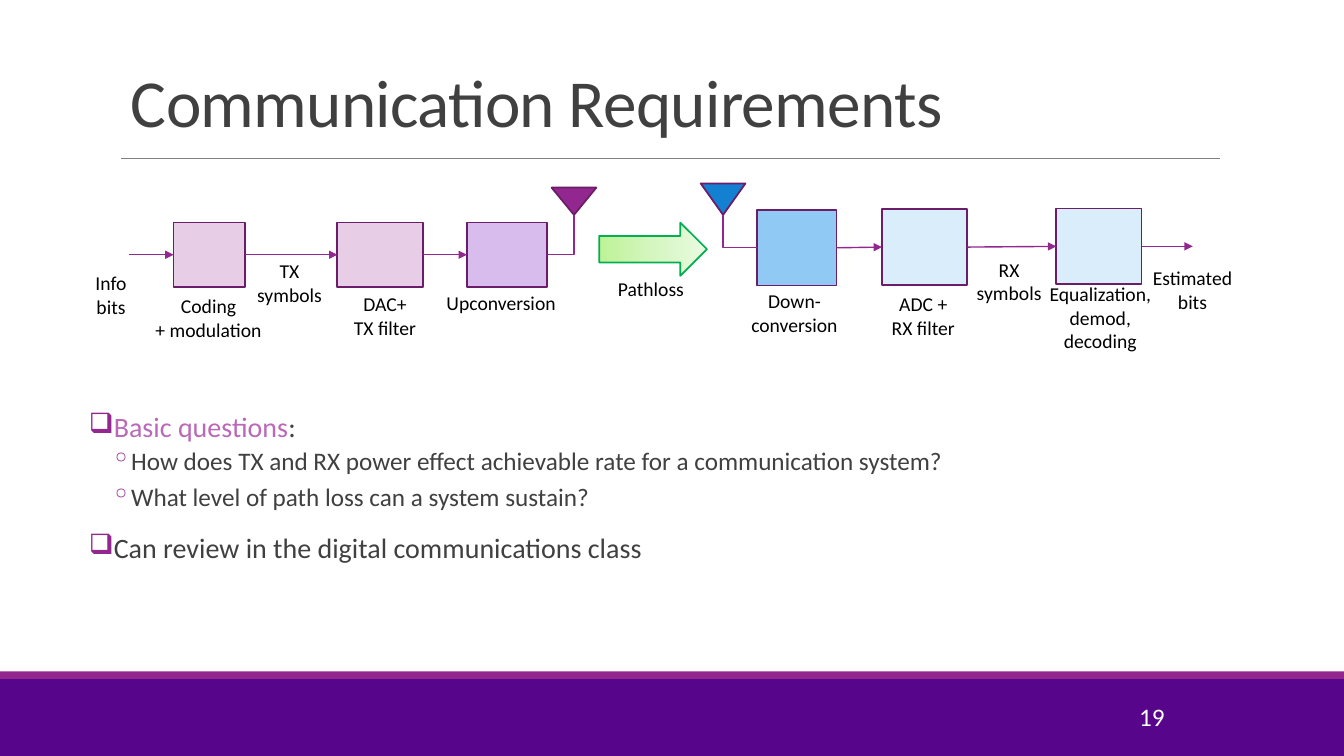
import copy
from dataclasses import dataclass

import pptx
import pptx.dml.color
import pptx.enum.shapes
import pptx.enum.text
import pptx.oxml
import pptx.oxml.ns
import pptx.util
from lxml import etree

Pt = pptx.util.Pt
qn = pptx.oxml.ns.qn
SHAPE = pptx.enum.shapes.MSO_SHAPE
CONNECTOR = pptx.enum.shapes.MSO_CONNECTOR
ALIGN = pptx.enum.text.PP_ALIGN
ANCHOR = pptx.enum.text.MSO_ANCHOR


@dataclass(frozen=True)
class Theme:
    """Colours, font and type sizes of the slide."""
    font: str = "Calibri"
    title_size: int = 48
    body_size: int = 20
    detail_size: int = 18
    label_size: int = 14
    text: str = "404040"
    label: str = "000000"
    white: str = "FFFFFF"
    rule: str = "808080"
    footer: str = "57068C"
    accent: str = "92278F"
    highlight: str = "BA69B8"
    outline: str = "6C1D6A"
    coding: str = "E8CDE7"
    upconversion: str = "D7BCED"
    downconversion: str = "8FC9F4"
    receiver: str = "DAEDFB"
    receive_antenna: str = "1480D1"
    path_outline: str = "00B050"
    path_stops: tuple = ("BEF297", "D5F6C0", "EAFAE0")


@dataclass(frozen=True)
class Box:
    """A rectangle in points."""
    left: float
    top: float
    width: float
    height: float

    def inner(self, left, top, width, height):
        """Return a box placed relative to this one."""
        return Box(self.left + left, self.top + top, width, height)

    def lengths(self):
        """Return the four measures as lengths."""
        return [Pt(value) for value in (self.left, self.top, self.width, self.height)]


THEME = Theme()


def rgb(colour):
    """Turn a hex string into a colour."""
    return pptx.dml.color.RGBColor.from_string(colour)


def style_font(font, size, colour):
    """Set face, size and colour of a font."""
    font.name = THEME.font
    font.size = Pt(size)
    font.color.rgb = rgb(colour)


def add_text(page, box, text, size, colour, align=ALIGN.LEFT, anchor=ANCHOR.TOP):
    """Add a wrapping text box and return its frame."""
    frame = page.shapes.add_textbox(*box.lengths()).text_frame
    frame.word_wrap = True
    frame.vertical_anchor = anchor
    frame.text = text
    for para in frame.paragraphs:
        para.alignment = align
        style_font(para.font, size, colour)
    return frame


def add_shape(page, kind, box, fill=None, outline=None):
    """Add a flat preset shape."""
    shape = page.shapes.add_shape(kind, *box.lengths())
    shape.shadow.inherit = False
    if fill:
        shape.fill.solid()
        shape.fill.fore_color.rgb = rgb(fill)
    if outline:
        shape.line.color.rgb = rgb(outline)
        shape.line.width = Pt(1.25)
    else:
        shape.line.fill.background()
    return shape


def add_line(page, start, end, colour=THEME.accent, width=1, arrow=False, bent=False):
    """Add a connector, joining any end given as a (shape, site) pair."""
    points = [(Pt(0), Pt(0)) if hasattr(spot[0], "shape_type")
              else (Pt(spot[0]), Pt(spot[1])) for spot in (start, end)]
    kind = CONNECTOR.ELBOW if bent else CONNECTOR.STRAIGHT
    line = page.shapes.add_connector(kind, *points[0], *points[1])
    if hasattr(start[0], "shape_type"):
        line.begin_connect(*start)
    if hasattr(end[0], "shape_type"):
        line.end_connect(*end)
    line.line.color.rgb = rgb(colour)
    line.line.width = Pt(width)
    properties = line.element.spPr
    if bent:
        properties.find(qn("a:prstGeom")).set("prst", "bentConnector2")
    if arrow:
        etree.SubElement(properties.find(qn("a:ln")), qn("a:tailEnd"), type="triangle")
    etree.SubElement(properties, qn("a:effectLst"))


def draw_footer(page, box):
    """Draw the footer band, its stripe and the page number."""
    add_shape(page, SHAPE.RECTANGLE, box, THEME.footer)
    add_shape(page, SHAPE.RECTANGLE, box.inner(0, -5.5, box.width, 5.5), THEME.accent)
    add_text(page, box.inner(736, 12, 103, 29), "19", THEME.detail_size, THEME.white,
             ALIGN.RIGHT, ANCHOR.MIDDLE)


def draw_title(page, box):
    """Draw the title and the rule below it."""
    frame = add_text(page, box, "Communication Requirements", THEME.title_size,
                     THEME.text, anchor=ANCHOR.BOTTOM)
    para = frame.paragraphs[0]
    para.line_spacing = 0.85
    para.runs[0].font._element.set("spc", "-50")
    rule_top = box.top + box.height + 8.5
    add_line(page, (box.left, rule_top), (box.left + 785, rule_top), THEME.rule, 0.5)


def draw_antenna(page, box, fill, source):
    """Draw an antenna and the feed from its block."""
    antenna = add_shape(page, SHAPE.ISOSCELES_TRIANGLE, box, fill, THEME.outline)
    antenna.rotation = 180
    add_line(page, source, (box.left + box.width / 2, box.top + box.height), bent=True)


def draw_path(page, box):
    """Draw the gradient arrow between the antennas."""
    arrow = add_shape(page, SHAPE.RIGHT_ARROW, box, outline=THEME.path_outline)
    arrow.fill.gradient()
    arrow.fill.gradient_angle = 0
    stop_list = arrow.element.spPr.find(".//" + qn("a:gsLst"))
    stop_list.append(copy.deepcopy(stop_list[0]))
    for index, (stop, colour) in enumerate(zip(arrow.fill.gradient_stops, THEME.path_stops)):
        stop.color.rgb = rgb(colour)
        stop.position = index / 2


def draw_chain(page, box):
    """Draw the transmitter, path and receiver with their labels."""
    blocks = [
        add_shape(page, SHAPE.RECTANGLE, box.inner(*place), fill, THEME.outline)
        for place, fill in (
            ((88, 33, 51, 46), THEME.coding),
            ((205, 33, 61, 46), THEME.coding),
            ((297.5, 33, 57, 46), THEME.upconversion),
            ((504.5, 24, 57, 54), THEME.downconversion),
            ((594, 23.5, 61, 54), THEME.receiver),
            ((718.5, 23, 61, 54), THEME.receiver),
        )
    ]
    coding, dac, upconversion, downconversion, adc, decoding = blocks
    for source, target in ((coding, dac), (dac, upconversion),
                           (downconversion, adc), (adc, decoding)):
        add_line(page, (source, 3), (target, 1), arrow=True)
    add_line(page, (box.left + 56, box.top + 56), (coding, 1), arrow=True)
    add_line(page, (decoding, 3), (box.left + 816, box.top + 50), arrow=True)
    draw_antenna(page, box.inner(358, 8, 32, 19.5), THEME.accent, (upconversion, 3))
    draw_antenna(page, box.inner(464.5, 5, 32, 22.5), THEME.receive_antenna,
                 (downconversion, 1))
    draw_path(page, box.inner(392, 33, 77, 38))
    narrow, wide = 80.6, 108
    for text, left, top, width in (
        ("Info\vbits", 3, 64, narrow),
        ("Coding\v+ modulation", 59, 80.5, wide),
        ("TX\vsymbols", 130.5, 55.5, narrow),
        ("DAC+\vTX filter", 185, 79, wide),
        ("Upconversion", 268, 78.5, wide),
        ("Pathloss", 375, 68.5, wide),
        ("Down-conversion", 477.5, 77, wide),
        ("ADC +\nRX filter", 569.5, 79, wide),
        ("RX\vsymbols", 644.5, 54.5, narrow),
        ("Equalization,\vdemod,\ndecoding", 696, 72, wide),
        ("Estimated bits", 775.5, 60.5, narrow),
    ):
        add_text(page, box.inner(left, top, width, 41), text, THEME.label_size,
                 THEME.label, ALIGN.CENTER)


def draw_questions(page, box):
    """Draw the bulleted questions."""
    frame = page.shapes.add_textbox(*box.lengths()).text_frame
    frame.word_wrap = True
    frame.margin_left = frame.margin_right = 0
    for index, (level, spans) in enumerate((
        (0, (("Basic questions", THEME.highlight), (":", THEME.text))),
        (1, (("How does TX and RX power effect achievable rate for a communication system?",
              THEME.text),)),
        (1, (("What level of path loss can a system sustain?", THEME.text),)),
        (0, (("Can review in the digital communications class", THEME.text),)),
    )):
        para = frame.add_paragraph() if index else frame.paragraphs[0]
        margin, indent, mark, size, before, after = (
            (30.24, -14.4, "◦", THEME.detail_size, 2, 4) if level
            else (7.2, -7.2, "❑", THEME.body_size, 12, 2))
        para.level = level
        properties = para._p.get_or_add_pPr()
        properties.set("marL", str(Pt(margin)))
        properties.set("indent", str(Pt(indent)))
        bullet_colour = etree.SubElement(properties, qn("a:buClr"))
        etree.SubElement(bullet_colour, qn("a:srgbClr"), val=THEME.accent)
        etree.SubElement(properties, qn("a:buChar"), char=mark)
        para.line_spacing = 0.9
        para.space_before = Pt(before if index else 0)
        para.space_after = Pt(after)
        style_font(para.font, size, THEME.text)
        for text, colour in spans:
            span = para.add_run()
            span.text = text
            if colour != THEME.text:
                span.font.color.rgb = rgb(colour)


def main():
    """Build the slide and save the deck."""
    deck = pptx.Presentation()
    deck.slide_width, deck.slide_height = Pt(960), Pt(540)
    page = deck.slides.add_slide(deck.slide_layouts[6])
    draw_footer(page, Box(0, 485, 960, 55))
    draw_title(page, Box(86.5, 22.5, 792, 82))
    draw_questions(page, Box(63.5, 291.5, 792, 168))
    draw_chain(page, Box(36, 126, 860, 130))
    deck.save("out.pptx")


if __name__ == "__main__":
    main()
